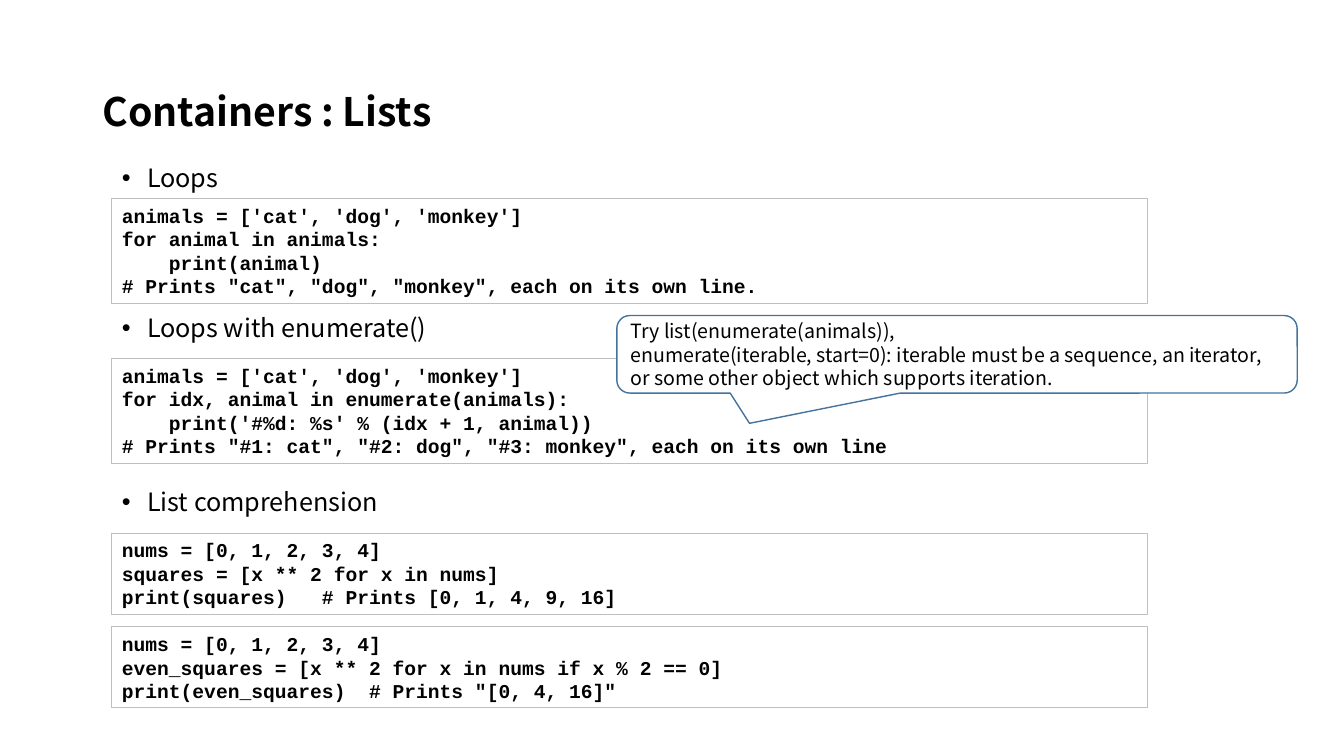
from pptx import Presentation
from pptx.dml.color import RGBColor
from pptx.enum.shapes import MSO_SHAPE as Shape
from pptx.enum.text import MSO_ANCHOR as Anchor, MSO_AUTO_SIZE as AutoSize, PP_ALIGN as Align
from pptx.oxml.ns import qn
from pptx.util import Pt
from lxml import etree

COLORS = {"text": "000000", "paper": "FFFFFF", "code_line": "BFBFBF", "note_line": "43739E"}
SANS, MONO = "Noto Sans CJK KR", "Courier New"
FORMATS = {
    "title": {"name": SANS, "size": Pt(28), "bold": True},
    "topic": {"name": SANS, "size": Pt(18)},
    "code": {"name": MONO, "size": Pt(14), "bold": True},
    "note": {"name": SANS, "size": Pt(14)},
}
LEFT, CODE_W, TOPIC_W, TOPIC_H = 80, 740, 620, 38
CODE_LINE_H, CODE_PAD = 16.9, 7.2


class Slide:
    def __init__(self, prs):
        self.s = prs.slides.add_slide(prs.slide_layouts[6])

    def add_text(self, sp, lines, style, anchor=Anchor.TOP, **spacing):
        tf = sp.text_frame
        tf.word_wrap = True
        tf.vertical_anchor = anchor
        for i, line in enumerate(lines):
            p = tf.paragraphs[0] if i == 0 else tf.add_paragraph()
            p.alignment = Align.LEFT
            for key, value in spacing.items():
                setattr(p, key, value)
            r = p.add_run()
            r.text = line
            for key, value in FORMATS[style].items():
                setattr(r.font, key, value)
            r.font.color.rgb = RGBColor.from_string(COLORS["text"])
        return tf

    def box(self, kind, x, y, w, h, line, width, fill=None):
        sp = self.s.shapes.add_shape(kind, Pt(x), Pt(y), Pt(w), Pt(h))
        sp.shadow.inherit = False
        if fill:
            sp.fill.solid()
            sp.fill.fore_color.rgb = RGBColor.from_string(COLORS[fill])
        else:
            sp.fill.background()
        sp.line.color.rgb = RGBColor.from_string(COLORS[line])
        sp.line.width = Pt(width)
        return sp

    def title(self, text, x, y, w, h):
        sp = self.s.shapes.add_textbox(Pt(x), Pt(y), Pt(w), Pt(h))
        self.add_text(sp, [text], "title", Anchor.MIDDLE, line_spacing=0.9)

    def topic(self, text, y):
        sp = self.s.shapes.add_textbox(Pt(LEFT), Pt(y), Pt(TOPIC_W), Pt(TOPIC_H))
        tf = self.add_text(sp, [text], "topic", line_spacing=0.9, space_before=Pt(10))
        pPr = tf.paragraphs[0]._p.get_or_add_pPr()
        pPr.set("marL", str(Pt(18)))
        pPr.set("indent", str(Pt(-18)))
        etree.SubElement(pPr, qn("a:buFont")).set("typeface", "Arial")
        etree.SubElement(pPr, qn("a:buChar")).set("char", "•")

    def code(self, text, y):
        lines = text.split("\n")
        h = CODE_LINE_H * len(lines) + CODE_PAD
        sp = self.box(Shape.RECTANGLE, LEFT, y, CODE_W, h, "code_line", 0.75)
        self.add_text(sp, lines, "code").auto_size = AutoSize.SHAPE_TO_FIT_TEXT

    def note(self, lines, x, y, w, h, tail):
        sp = self.box(Shape.ROUNDED_RECTANGULAR_CALLOUT, x, y, w, h, "note_line", 1, "paper")
        for i, value in enumerate(tail):
            sp.adjustments[i] = value
        self.add_text(sp, lines, "note", Anchor.MIDDLE)


LOOP = """animals = ['cat', 'dog', 'monkey']
for animal in animals:
    print(animal)
# Prints "cat", "dog", "monkey", each on its own line."""
ENUMERATE = """animals = ['cat', 'dog', 'monkey']
for idx, animal in enumerate(animals):
    print('#%d: %s' % (idx + 1, animal))
# Prints "#1: cat", "#2: dog", "#3: monkey", each on its own line"""
SQUARES = """nums = [0, 1, 2, 3, 4]
squares = [x ** 2 for x in nums]
print(squares)   # Prints [0, 1, 4, 9, 16]"""
EVEN_SQUARES = """nums = [0, 1, 2, 3, 4]
even_squares = [x ** 2 for x in nums if x % 2 == 0]
print(even_squares)  # Prints "[0, 4, 16]\""""

prs = Presentation()
prs.slide_width, prs.slide_height = Pt(960), Pt(540)
slide = Slide(prs)
slide.title("Containers : Lists", 66.2, 28.8, 828, 104.4)
for text, y in [("Loops", 114.5), ("Loops with enumerate()", 221.8), ("List comprehension", 346.3)]:
    slide.topic(text, y)
for text, y in [(LOOP, 141.8), (ENUMERATE, 256.3), (SQUARES, 380.9), (EVEN_SQUARES, 447.8)]:
    slide.code(text, y)
slide.note(
    ["Try list(enumerate(animals)),",
     "enumerate(iterable, start=0): iterable must be a sequence, an iterator, "
     "or some other object which supports iteration."],
    440.6, 225.4, 486, 55.4, (-0.305, 0.89, 0.167))
prs.save("out.pptx")
